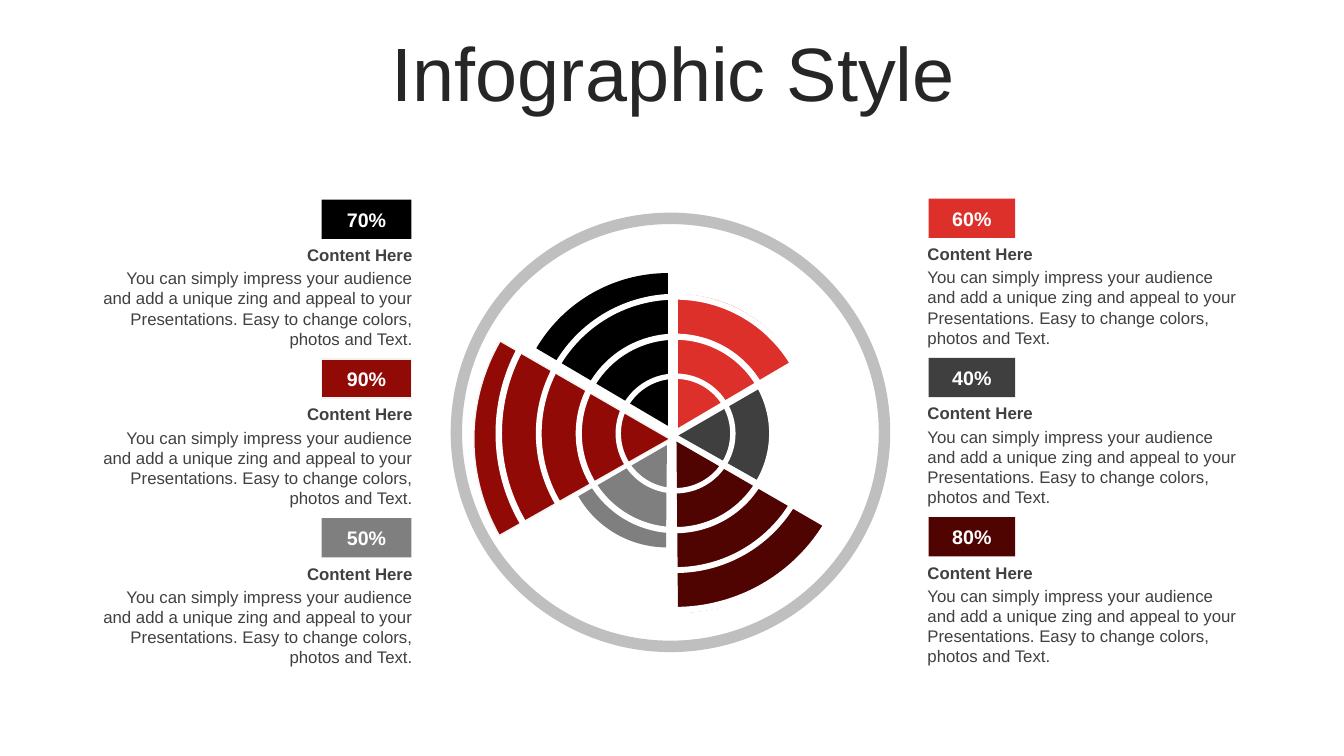
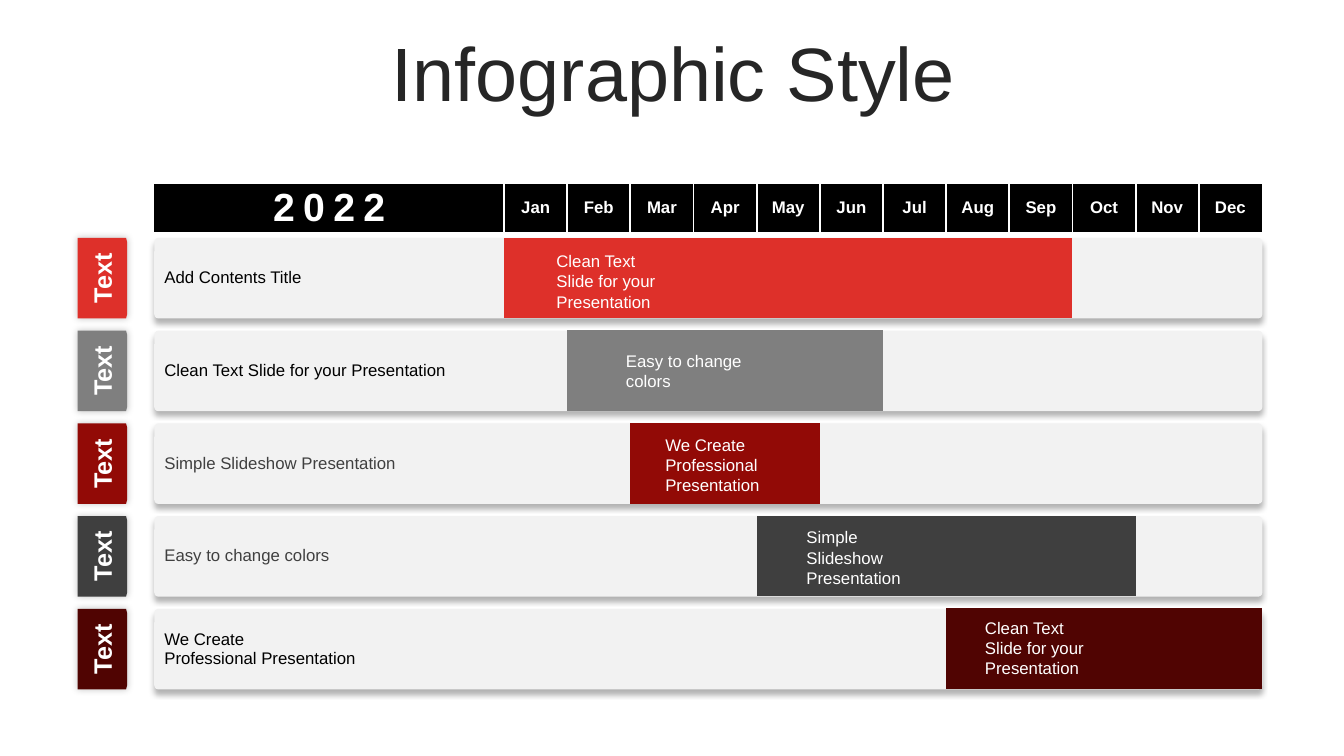
from lxml import etree
from pptx import Presentation
from pptx.dml.color import RGBColor
from pptx.enum.shapes import MSO_SHAPE as SHAPE
from pptx.enum.text import MSO_ANCHOR as ANCHOR, PP_ALIGN as ALIGN
from pptx.oxml import parse_xml
from pptx.oxml.ns import nsdecls, qn
from pptx.util import Inches, Pt

# Shared style
FONT = "Arial"
TITLE = "Infographic Style"
COLORS = {
    "black": "000000", "white": "FFFFFF", "red": "DE302A", "crimson": "920A06",
    "maroon": "500402", "gray": "7F7F7F", "charcoal": "3F3F3F", "ring": "BFBFBF",
    "panel": "F2F2F2", "title": "262626", "body": "404040",
}
NO_STYLE = "{2D5ABB26-0587-4C30-8999-92F81FD0307C}"

# Pie slide: share, colour, side, row, slice left, top, size, rotation
SLICES = [
    ("70%", "black", "left", 0, 5.11, 2.71, 3.03, 0),
    ("90%", "crimson", "left", 1, 4.7, 2.41, 3.89, 300),
    ("50%", "gray", "left", 2, 5.6, 3.4, 2.03, 240),
    ("60%", "red", "right", 0, 5.4, 2.92, 2.65, 0),
    ("40%", "charcoal", "right", 1, 5.78, 3.37, 1.9, 60),
    ("80%", "maroon", "right", 2, 5.01, 2.68, 3.4, 120),
]
SIDES = {
    "left": {"top": 1.98, "badge": 3.19, "width": 0.89, "text": 0.88, "align": ALIGN.RIGHT},
    "right": {"top": 1.97, "badge": 9.21, "width": 0.86, "text": 9.1, "align": ALIGN.LEFT},
}
HEADING = "Content Here"
BODY = ("You can simply impress your audience and add a unique zing and appeal to your "
        "Presentations. Easy to change colors, photos and Text.")
OUTLINED = "crimson"
CARD_STEP = 1.58
RINGS = [(1.19, 0.045), (1.98, 0.031), (2.77, 0.021), (3.57, 0.018)]  # size, thickness
RING_CENTER = (6.7, 4.3)

# Schedule slide: task, text colour, bar colour, first and last month, bar label, left, drop
YEAR = "2022"
MONTHS = "Jan Feb Mar Apr May Jun Jul Aug Sep Oct Nov Dec".split()
TASKS = [
    ("Add Contents Title", "black", "red", 1, 9,
     "Clean Text Slide for your Presentation", 5.42, 0.08),
    ("Clean Text Slide for your Presentation", "black", "gray", 2, 6,
     "Easy to change colors", 6.11, 0.15),
    ("Simple Slideshow Presentation", "body", "crimson", 3, 5,
     "We Create\nProfessional Presentation", 6.5, 0.06),
    ("Easy to change colors", "body", "charcoal", 5, 10,
     "Simple Slideshow Presentation", 7.9, 0.06),
    ("We Create\nProfessional Presentation", "black", "maroon", 8, 12,
     "Clean Text Slide for your Presentation", 9.67, 0.04),
]
TAG = "Text"
GRID_LEFT, GRID_TOP, GRID_W, TASK_W = 1.53, 1.83, 10.99, 3.47
ROW_TOP, ROW_H, ROW_GAP = 2.36, 0.8, 0.12
TAG_LEFT, TAG_W = 0.77, 0.49


def rgb(name):
    return RGBColor.from_string(COLORS[name])


def write(tf, text, size, color, bold=False, align=ALIGN.LEFT, spacing=None):
    for i, line in enumerate(text.split("\n")):
        p = tf.paragraphs[0] if i == 0 else tf.add_paragraph()
        p.alignment = align
        if spacing:
            p.line_spacing = spacing
        r = p.add_run()
        r.text = line
        for key, value in {"name": FONT, "size": Pt(size), "bold": bold}.items():
            setattr(r.font, key, value)
        r.font.color.rgb = rgb(color)


def add_text(s, box, text, size, color, anchor=ANCHOR.TOP, **style):
    tf = s.shapes.add_textbox(*map(Inches, box)).text_frame
    tf.word_wrap = True
    tf.vertical_anchor = anchor
    write(tf, text, size, color, **style)


def paint(sp, color, line=None):
    sp.shadow.inherit = False
    sp.fill.solid()
    sp.fill.fore_color.rgb = rgb(color)
    if line:
        sp.line.color.rgb = rgb(line)
        sp.line.width = Pt(1)
    else:
        sp.line.fill.background()


def add_shape(s, kind, box, color, adj=(), line=None):
    sp = s.shapes.add_shape(kind, *map(Inches, box))
    for i, value in enumerate(adj):
        sp.adjustments[i] = value
    paint(sp, color, line)
    return sp


def add_label(sp, text, size):
    sp.text_frame.word_wrap = False
    sp.text_frame.vertical_anchor = ANCHOR.MIDDLE
    write(sp.text_frame, text, size, "white", bold=True, align=ALIGN.CENTER)


def add_shadow(sp, alpha, blur, dist, angle):
    effects = sp._element.spPr.find(qn("a:effectLst"))
    shadow = etree.SubElement(effects, qn("a:outerShdw"), blurRad=str(Pt(blur)),
                              dist=str(Pt(dist)), dir=str(angle * 60000), rotWithShape="0")
    color = etree.SubElement(shadow, qn("a:srgbClr"), val=COLORS["black"])
    etree.SubElement(color, qn("a:alpha"), val=str(alpha * 1000))


def new_slide(prs):
    s = prs.slides.add_slide(prs.slide_layouts[6])
    add_text(s, (0.35, 0.37, 12.66, 0.79), TITLE, 54, "title", anchor=ANCHOR.MIDDLE,
             align=ALIGN.CENTER, spacing=0.9)
    return s


def pie_slide(prs):
    s = new_slide(prs)
    add_shape(s, SHAPE.DONUT, (4.47, 2.11, 4.36, 4.36), "ring", [0.026])

    # Slices, badges and their texts
    for share, color, side, row, left, top, size, turn in SLICES:
        line = "panel" if color == OUTLINED else None
        sp = add_shape(s, SHAPE.PIE, (left, top, size, size), color, [126.304, 162], line)
        sp.rotation = turn
        if side == "right":
            sp._element.spPr.xfrm.set("flipH", "1")

        place = SIDES[side]
        y = place["top"] + row * CARD_STEP
        badge = add_shape(s, SHAPE.RECTANGLE, (place["badge"], y, place["width"], 0.39),
                          color, line=line)
        add_label(badge, share, 14)
        add_text(s, (place["text"], y + 0.4, 3.31, 0.3), HEADING, 12, "body",
                 bold=True, align=place["align"])
        add_text(s, (place["text"], y + 0.63, 3.31, 0.91), BODY, 12, "body",
                 align=place["align"])

    # White rings cut the slices into bands
    cx, cy = RING_CENTER
    for size, thickness in RINGS:
        add_shape(s, SHAPE.DONUT, (cx - size / 2, cy - size / 2, size, size),
                  "white", [thickness])


def fill_cell(cell, color=None):
    if color:
        cell.fill.solid()
        cell.fill.fore_color.rgb = rgb(color)
    else:
        cell.fill.background()


def add_side_borders(cell, sides):
    tcPr = cell._tc.get_or_add_tcPr()
    for i, side in enumerate(sides):
        tcPr.insert(i, parse_xml(
            f'<a:ln{side} {nsdecls("a")} w="{Pt(1.5)}"><a:solidFill>'
            f'<a:srgbClr val="{COLORS["white"]}"/></a:solidFill></a:ln{side}>'))


def add_schedule(s):
    heights = [0.4, 0.06] + [ROW_H, ROW_GAP] * len(TASKS)
    heights.pop()
    widths = [TASK_W] + [(GRID_W - TASK_W) / len(MONTHS)] * len(MONTHS)
    box = (GRID_LEFT, GRID_TOP, GRID_W, sum(heights))
    table = s.shapes.add_table(len(heights), len(widths), *map(Inches, box)).table
    table.first_row = table.horz_banding = False
    table._tbl.tblPr.find(qn("a:tableStyleId")).text = NO_STYLE
    for row, height in zip(table.rows, heights):
        row.height = Inches(height)
    for col, width in zip(table.columns, widths):
        col.width = Inches(width)

    # Plain empty cells that keep the narrow rows narrow
    for cell in table.iter_cells():
        for side in ("left", "right", "top", "bottom"):
            setattr(cell, f"margin_{side}", 0)
        cell.vertical_anchor = ANCHOR.MIDDLE
        cell.text_frame.paragraphs[0].font.size = Pt(1)
        fill_cell(cell)

    # Header
    for col, text in enumerate([YEAR] + MONTHS):
        cell = table.cell(0, col)
        fill_cell(cell, "black")
        write(cell.text_frame, text, 12 if col else 28, "white", bold=True,
              align=ALIGN.CENTER)
        add_side_borders(cell, "LR"[col == 0:] if col < len(MONTHS) else "L")
    year = table.cell(0, 0).text_frame.paragraphs[0].runs[0]
    year.font._element.set("spc", "600")

    # Task names and month bars
    for i, (task, text_color, color, first, last, *_) in enumerate(TASKS):
        row = 2 + 2 * i
        name = table.cell(row, 0)
        name.margin_left = Inches(0.1)
        write(name.text_frame, task, 12, text_color)
        for month in range(first, last + 1):
            fill_cell(table.cell(row, month), color)


def add_tag(s, y, color):
    right, bottom, cut = TAG_LEFT + TAG_W, y + ROW_H, 0.01
    points = [(right - cut, y), (right, y + 0.04), (right, bottom - 0.04),
              (right - cut, bottom), (TAG_LEFT, bottom)]
    outline = s.shapes.build_freeform(Inches(TAG_LEFT), Inches(y))
    outline.add_line_segments([(Inches(px), Inches(py)) for px, py in points], close=True)
    sp = outline.convert_to_shape()
    paint(sp, color)
    add_shadow(sp, 22, 5, 0, 0)
    label = add_shape(s, SHAPE.RECTANGLE, (0.65, y + 0.2, 0.72, 0.4), color)
    label.rotation = 270
    add_label(label, TAG, 18)


def schedule_slide(prs):
    s = new_slide(prs)
    tops = [ROW_TOP + i * (ROW_H + ROW_GAP) for i in range(len(TASKS))]
    for y in tops:
        sp = add_shape(s, SHAPE.ROUNDED_RECTANGLE, (GRID_LEFT, y, GRID_W, ROW_H),
                       "panel", [0.053])
        add_shadow(sp, 30, 4, 3, 90)
    add_schedule(s)
    for y, (_, _, color, _, _, label, left, drop) in zip(tops, TASKS):
        add_tag(s, y, color)
        add_text(s, (left, y + drop, 1.39, 0.71), label, 12, "white")


def main():
    prs = Presentation()
    prs.slide_width, prs.slide_height = Inches(13.33), Inches(7.5)
    pie_slide(prs)
    schedule_slide(prs)
    prs.save("out.pptx")


if __name__ == "__main__":
    main()
